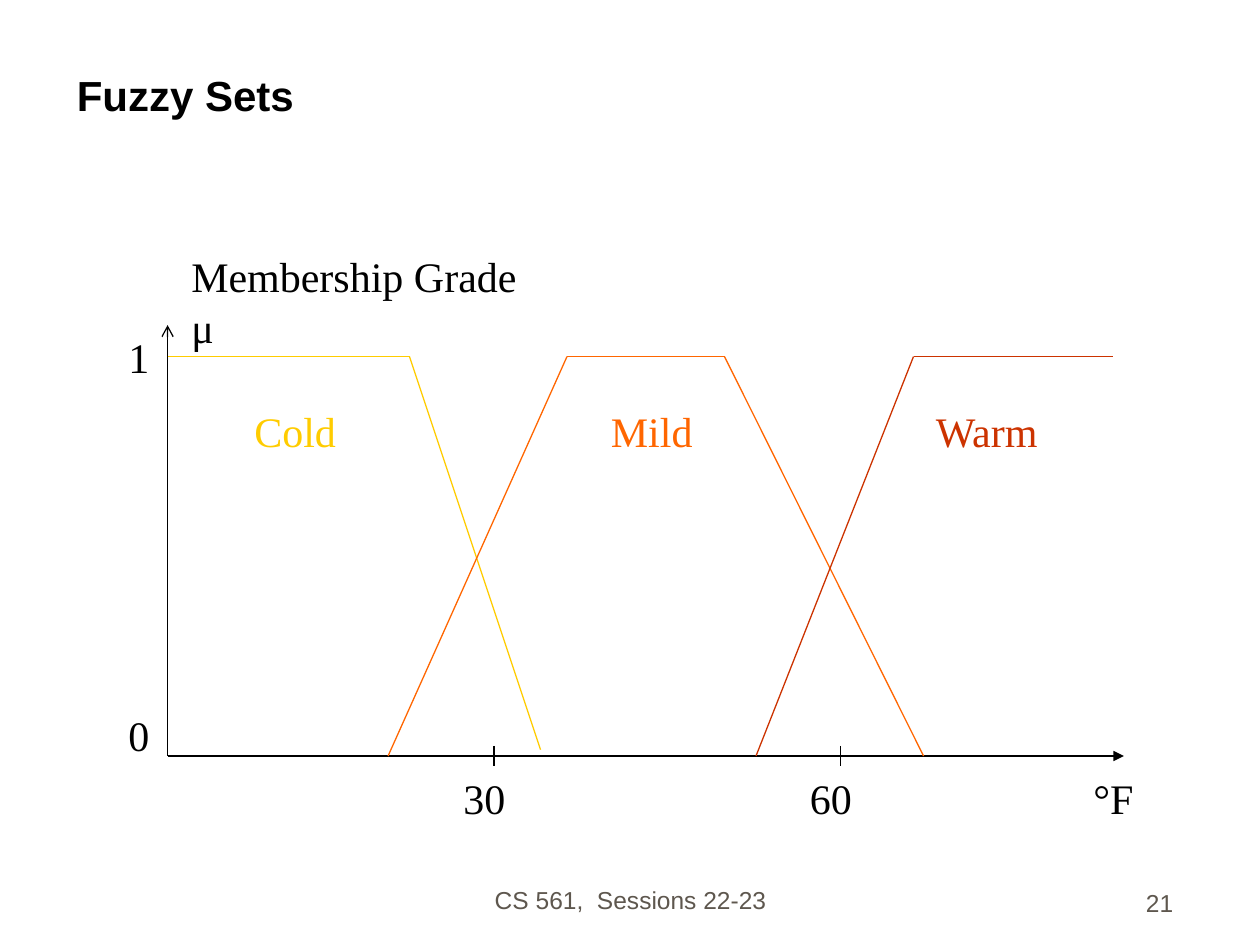
from lxml import etree
from pptx import Presentation
from pptx.dml.color import RGBColor
from pptx.enum.shapes import MSO_CONNECTOR
from pptx.enum.text import MSO_ANCHOR, PP_ALIGN
from pptx.oxml.ns import qn
from pptx.util import Inches, Pt

LEFT, CENTER, RIGHT = PP_ALIGN.LEFT, PP_ALIGN.CENTER, PP_ALIGN.RIGHT
TOP, BOTTOM = MSO_ANCHOR.TOP, MSO_ANCHOR.BOTTOM
STRAIGHT = MSO_CONNECTOR.STRAIGHT

BLACK = RGBColor(0x00, 0x00, 0x00)
GRAY = RGBColor(0x5E, 0x57, 0x4E)
YELLOW = RGBColor(0xFF, 0xCC, 0x00)
ORANGE = RGBColor(0xFF, 0x66, 0x00)
RED = RGBColor(0xCC, 0x33, 0x00)

# Content, in inches
TITLE = "Fuzzy Sets"
AXIS_X, GRADE_0, GRADE_1 = 1.33, 6, 2.83
AXES = [((8.92, GRADE_0), "triangle"), ((AXIS_X, 2.58), "arrow")]
TICKS = [("30", 3.92), ("60", 6.67)]
TICK_HALF = 0.08

# Name, colour, label left and width, corner points
FUZZY_SETS = [
    ("Cold", YELLOW, 1.92, 0.92,
     [(AXIS_X, GRADE_1), (3.25, GRADE_1), (4.29, 5.95)]),
    ("Mild", ORANGE, 4.75, 0.92,
     [(3.08, GRADE_0), (4.5, GRADE_1), (5.75, GRADE_1), (7.33, GRADE_0)]),
    ("Warm", RED, 7.33, 1.5,
     [(6, GRADE_0), (7.25, GRADE_1), (8.83, GRADE_1)]),
]
AXIS_LABELS = [
    ("°F", (8.58, 6.08, 0.58, 0.5)),
    ("Membership Grade\vμ", (1.42, 1.94, 3, 0.9)),
    ("1", (0.92, 2.58, 0.42, 0.5)),
    ("0", (0.92, 5.58, 0.42, 0.5)),
]
FOOTERS = [
    ("CS 561,  Sessions 22-23", (3.42, 6.81, 3.17, 0.5), CENTER),
    ("21", (7.33, 6.83, 2.08, 0.5), RIGHT),
]


def format_text(shape, text, box, color, font_name, size, align, anchor):
    shape.left, shape.top, shape.width, shape.height = map(Inches, box)
    frame = shape.text_frame
    frame.word_wrap = True
    frame.vertical_anchor = anchor
    frame.text = text
    paragraph = frame.paragraphs[0]
    paragraph.alignment = align
    paragraph.font.name = font_name
    paragraph.font.size = Pt(size)
    paragraph.font.color.rgb = color
    return paragraph


def add_label(slide, text, box, color=BLACK, font_name="Times New Roman",
              size=24, align=LEFT, anchor=TOP):
    shape = slide.shapes.add_textbox(*map(Inches, box))
    format_text(shape, text, box, color, font_name, size, align, anchor)


def add_line(slide, start, end, color=BLACK, arrowhead=None):
    connector = slide.shapes.add_connector(
        STRAIGHT, *map(Inches, (*start, *end)))
    connector.line.color.rgb = color
    connector.line.width = Pt(0.75)
    if arrowhead:
        line = connector.line._get_or_add_ln()
        etree.SubElement(line, qn("a:tailEnd"), type=arrowhead)
    properties = connector._element.spPr
    etree.SubElement(properties, qn("a:effectLst"))


def main():
    presentation = Presentation()
    presentation.slide_width = Inches(10)
    presentation.slide_height = Inches(7.5)
    slide = presentation.slides.add_slide(presentation.slide_layouts[5])

    # Title and footers
    title = format_text(slide.shapes.title, TITLE, (0.51, 0.25, 8.92, 0.75),
                        BLACK, "Arial", 24, LEFT, BOTTOM)
    title.font.bold = True
    for text, box, align in FOOTERS:
        add_label(slide, text, box, GRAY, "Arial", 14, align, BOTTOM)

    # Axes
    for end, arrowhead in AXES:
        add_line(slide, (AXIS_X, GRADE_0), end, arrowhead=arrowhead)
    for text, box in AXIS_LABELS:
        add_label(slide, text, box)
    for text, x in TICKS:
        add_line(slide, (x, GRADE_0 - TICK_HALF), (x, GRADE_0 + TICK_HALF))
        add_label(slide, text, (x - 0.34, 6.08, 0.58, 0.5))

    # Membership functions
    for name, color, left, width, points in FUZZY_SETS:
        for start, end in zip(points, points[1:]):
            add_line(slide, start, end, color)
        add_label(slide, name, (left, 3.17, width, 0.5), color)

    presentation.save("out.pptx")


if __name__ == "__main__":
    main()
